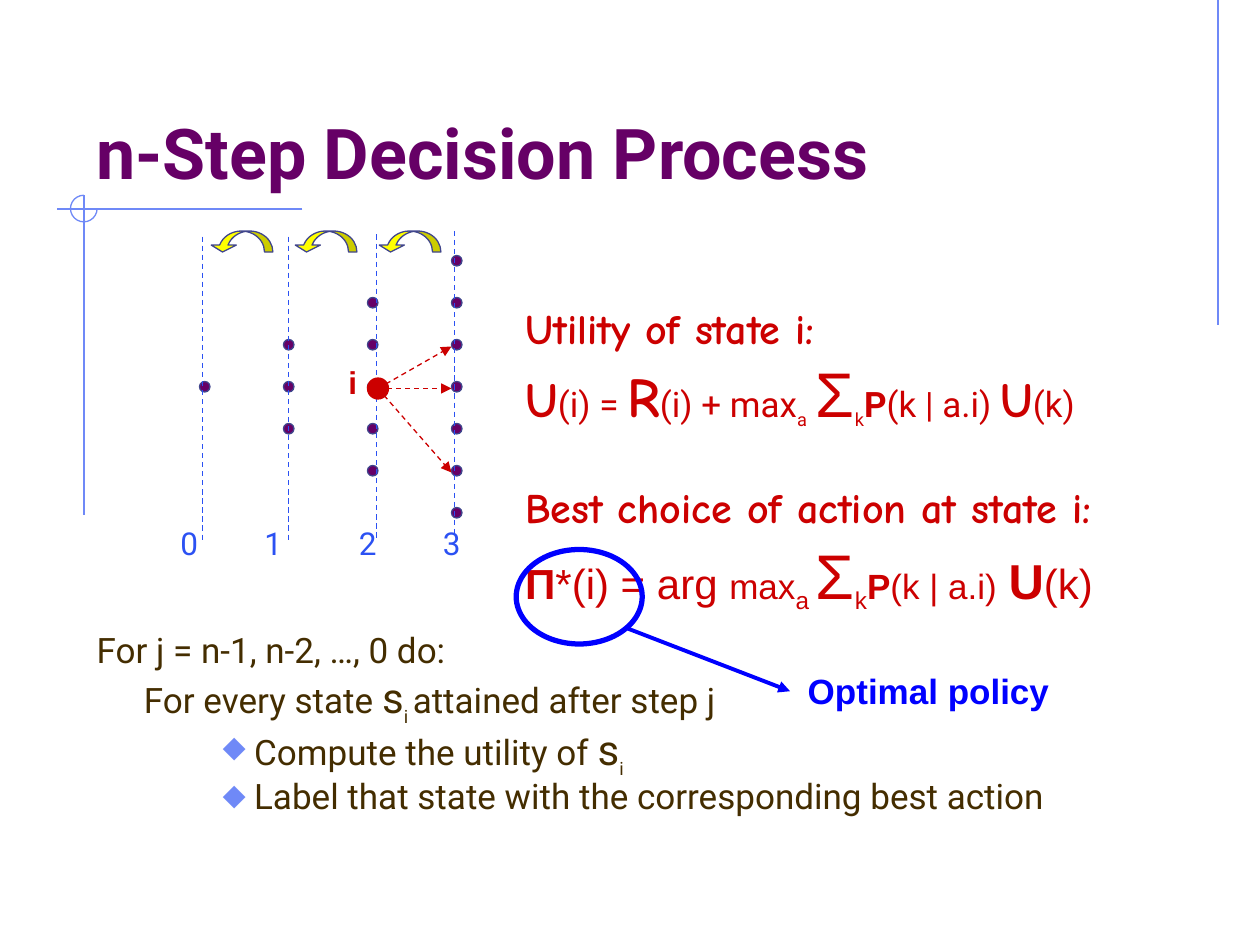
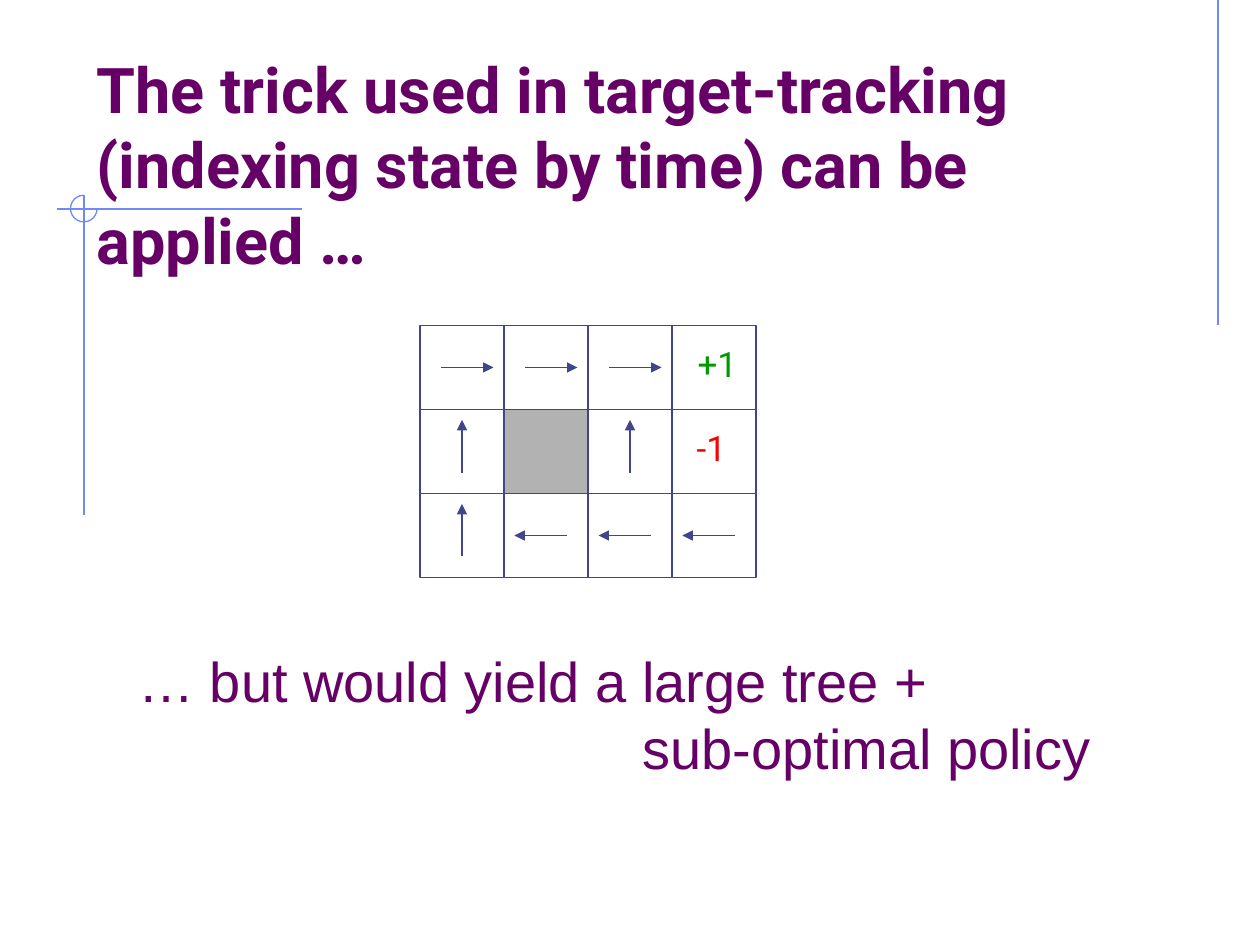
from dataclasses import dataclass

from lxml import etree
from pptx import Presentation
from pptx import util as u
from pptx.dml.color import RGBColor
from pptx.enum import dml, shapes, text
from pptx.oxml.ns import qn

Pt = u.Pt


@dataclass(frozen=True)
class Theme:
    purple: str = "660066"
    brown: str = "442D00"
    red: str = "CC0000"
    blue: str = "2B51F3"
    pure_blue: str = "0000FF"
    periwinkle: str = "6F89F7"
    navy: str = "40458C"
    yellow: str = "FFFF00"
    grey: str = "B2B2B2"
    gain: str = "009900"
    loss: str = "FF0000"
    sans: str = "Roboto"
    plain: str = "Arial"
    comic: str = "Comic Neue"
    title: int = 40
    long_title: int = 36
    conclusion: int = 32
    body: int = 20
    state: int = 24
    label: int = 18


theme = Theme()


def outline(shape, color, width=0.75, fill=None, dashed=False, arrow=False):
    if fill:
        shape.fill.solid()
        shape.fill.fore_color.rgb = RGBColor.from_string(fill)
    elif hasattr(shape, "fill"):
        shape.fill.background()
    shape.line.color.rgb = RGBColor.from_string(color)
    shape.line.width = Pt(width)
    if dashed:
        shape.line.dash_style = dml.MSO_LINE.DASH
    properties = shape.element.spPr
    if arrow:
        etree.SubElement(properties.find(qn("a:ln")), qn("a:tailEnd"), type="triangle")
    etree.SubElement(properties, qn("a:effectLst"))
    return shape


def set_font(font, size, name, color, bold=False):
    font.size = Pt(size)
    font.name = name
    font.bold = bold
    font.color.rgb = RGBColor.from_string(color)


presentation = Presentation()
presentation.slide_width = Pt(720)
presentation.slide_height = Pt(540)
layouts = presentation.slide_layouts
process = presentation.slides.add_slide(layouts[1])
tracking = presentation.slides.add_slide(layouts[5])
straight = shapes.MSO_CONNECTOR.STRAIGHT
preset = shapes.MSO_SHAPE

# Shared frame
frame = [
    process.shapes.add_connector(straight, *map(Pt, ends))
    for ends in [(696, 0, 696, 186), (172.8, 119.5, 32.4, 119.5), (48, 111.6, 48, 294.5)]
]
arc = process.shapes.add_shape(preset.ARC, Pt(40.3), Pt(111.6), Pt(15.2), Pt(15.2))
arc.adjustments[0] = 0
arc.adjustments[1] = 162
for part in frame + [arc]:
    outline(part, theme.periwinkle)
    presentation.slide_master.shapes.element.append(part.element)

# Titles
for slide, top, size, words in [
    (process, 24, theme.title, "n-Step Decision Process"),
    (tracking, 72, theme.long_title,
     "The trick used in target-tracking (indexing state by time) can be applied …"),
]:
    title = slide.shapes.title
    title.left, title.top, title.width, title.height = Pt(48), Pt(top), Pt(612), Pt(90)
    title.text_frame.text = words
    title.text_frame.auto_size = text.MSO_AUTO_SIZE.NONE
    title.text_frame.vertical_anchor = text.MSO_ANCHOR.BOTTOM
    paragraph = title.text_frame.paragraphs[0]
    paragraph.alignment = text.PP_ALIGN.LEFT
    set_font(paragraph.font, size, theme.sans, theme.purple, True)

# Algorithm and formulas
body = process.placeholders[1]
body.left, body.top, body.width, body.height = Pt(48), Pt(360), Pt(578), Pt(140)
formulas = process.shapes.add_textbox(Pt(293), Pt(172.8), Pt(381), Pt(211))
sans, plain, comic = theme.sans, theme.plain, theme.comic
algorithm_lines = [
    (0, 5, [("For j = n-1, n-2, …, 0 do:", theme.body, sans, False, 0)]),
    (27, 5, [("For every state ", theme.body, sans, False, 0),
             ("s", theme.state, sans, False, 0),
             ("i ", theme.label, sans, False, -30),
             ("attained after step j", theme.body, sans, False, 0)]),
    (90, 4.5, [("Compute the utility of ", theme.body, sans, False, 0),
               ("s", theme.state, sans, False, 0),
               ("i", theme.label, sans, False, -30)]),
    (90, 4.5, [("Label that state with the corresponding best action",
                theme.body, sans, False, 0)]),
]
formula_lines = [
    (0, 6, [("Utility of state i:", 24, comic, True, 0)]),
    (0, 5, [("U", 28, comic, True, 0), ("(i) = ", 20, sans, False, 0),
            ("R", 32, comic, True, 0), ("(i) + max", 20, sans, False, 0),
            ("a", 18, sans, False, -30), (" ", 20, sans, False, 0),
            ("Σ", 36, plain, False, 0), ("k", 18, sans, False, -30),
            ("P", 20, sans, True, 0), ("(k | a.i) ", 20, sans, False, 0),
            ("U", 28, comic, True, 0), ("(k)", 20, sans, False, 0)]),
    (0, 32, [("Best choice of action at state i:", 24, comic, True, 0)]),
    (0, 6, [("Π", 24, plain, True, 0), ("*(i) = arg ", 24, plain, False, 0),
            ("max", 20, plain, False, 0), ("a ", 24, plain, False, -25),
            ("Σ", 36, plain, False, 0), ("k", 24, plain, False, -25),
            ("P", 20, plain, True, 0), ("(k | a.i)", 20, plain, False, 0),
            (" ", 24, plain, False, 0), ("U", 28, plain, True, 0),
            ("(k)", 24, plain, False, 0)]),
]
for holder, color, spacing, wrap, lines in [
    (body, theme.brown, 0.8, True, algorithm_lines),
    (formulas, theme.red, 0.9, False, formula_lines),
]:
    frame = holder.text_frame
    frame.word_wrap = wrap
    frame.auto_size = text.MSO_AUTO_SIZE.NONE
    for number, (margin, before, runs) in enumerate(lines):
        paragraph = frame.add_paragraph() if number else frame.paragraphs[0]
        paragraph.line_spacing = spacing
        paragraph.space_before = Pt(before)
        bulleted = margin == 90
        paragraph.level = 2 if bulleted else 0
        properties = paragraph._p.get_or_add_pPr()
        properties.set("marL", str(Pt(margin)))
        properties.set("indent", str(Pt(-18 if bulleted else 0)))
        if bulleted:
            bullet_color = etree.SubElement(properties, qn("a:buClr"))
            etree.SubElement(bullet_color, qn("a:srgbClr"), val=theme.periwinkle)
            etree.SubElement(properties, qn("a:buSzPct"), val="95000")
            etree.SubElement(properties, qn("a:buFont"), typeface=plain)
            etree.SubElement(properties, qn("a:buChar"), char="⬥")
        else:
            etree.SubElement(properties, qn("a:buNone"))
        for words, size, name, bold, baseline in runs:
            run = paragraph.add_run()
            run.text = words
            set_font(run.font, size, name, color, bold)
            if baseline:
                run._r.get_or_add_rPr().set("baseline", str(baseline * 1000))

# State diagram
for step in range(4):
    reach = step
    for row in range(-reach, reach + 1):
        dot = process.shapes.add_shape(
            preset.OVAL, Pt(114 + 48 * step), Pt(218 + 24 * row), Pt(6), Pt(6))
        outline(dot, theme.navy, fill=theme.purple)
for x, top in [(115.9, 135.2), (164.9, 135.2), (215.2, 134), (259.9, 132)]:
    line = process.shapes.add_connector(straight, Pt(x), Pt(top), Pt(x), Pt(top + 174))
    outline(line, theme.blue, dashed=True)
for step in range(3):
    back = process.shapes.add_shape(
        preset.CURVED_DOWN_ARROW, Pt(120 + 48 * step), Pt(132), Pt(36), Pt(12))
    for index, value in enumerate([0.4, 1.2, 0.33]):
        back.adjustments[index] = value
    back.element.spPr.xfrm.set("flipH", "1")
    outline(back, theme.navy, fill=theme.yellow)
state = process.shapes.add_shape(preset.OVAL, Pt(210), Pt(216), Pt(12), Pt(12))
outline(state, theme.red, fill=theme.red)
for y in [198, 222, 270]:
    choice = process.shapes.add_connector(straight, Pt(216), Pt(222), Pt(258), Pt(y))
    outline(choice, theme.red, dashed=True, arrow=True)
policy_ring = process.shapes.add_shape(preset.OVAL, Pt(295), Pt(314), Pt(72), Pt(54))
outline(policy_ring, theme.pure_blue, 3)
pointer = process.shapes.add_connector(straight, Pt(357), Pt(358.5), Pt(451.5), Pt(395))
outline(pointer, theme.pure_blue, 2.25, arrow=True)

# Policy grid
left, top, cell = 240, 186, 48
right, bottom = left + 4 * cell, top + 3 * cell
border = tracking.shapes.add_shape(
    preset.RECTANGLE, Pt(left), Pt(top), Pt(4 * cell), Pt(3 * cell))
outline(border, theme.navy)
rules = [(left + cell * n, top, left + cell * n, bottom) for n in (1, 2, 3)]
rules += [(left, top + cell * n, right, top + cell * n) for n in (1, 2)]
for ends in rules:
    outline(tracking.shapes.add_connector(straight, *map(Pt, ends)), theme.navy)
obstacle = tracking.shapes.add_shape(
    preset.RECTANGLE, Pt(left + cell), Pt(top + cell), Pt(cell), Pt(cell))
outline(obstacle, theme.navy, fill=theme.grey)
moves = {"→": (12, 24, 42, 24), "←": (36, 24, 6, 24), "↑": (24, 36, 24, 6)}
for row, actions in enumerate(["→→→ ", "↑ ↑ ", "↑←←←"]):
    for column, action in enumerate(actions):
        if action in moves:
            x, y = left + cell * column, top + cell * row
            x1, y1, x2, y2 = moves[action]
            move = tracking.shapes.add_connector(
                straight, Pt(x + x1), Pt(y + y1), Pt(x + x2), Pt(y + y2))
            outline(move, theme.navy, arrow=True)

# Labels
labels = [
    (process, (x, 296, 24.5, 29), str(step), theme.label, sans, theme.blue, False)
    for step, x in enumerate([96, 144, 198, 246])
]
labels += [
    (process, (192, 204, 19.5, 29), "i", theme.label, plain, theme.red, True),
    (process, (454.5, 379, 152.5, 31.5), "Optimal policy", theme.body, plain,
     theme.pure_blue, True),
    (tracking, (391.5, 192, 37.5, 31.5), "+1", theme.body, sans, theme.gain, False),
    (tracking, (391, 240, 32.5, 31.5), "-1", theme.body, sans, theme.loss, False),
    (tracking, (72, 366, 559, 84), "… but would yield a large tree +\nsub-optimal policy",
     theme.conclusion, plain, theme.purple, False),
]
for slide, place, words, size, name, color, bold in labels:
    box = slide.shapes.add_textbox(*map(Pt, place))
    box.text_frame.word_wrap = False
    box.text_frame.text = words
    for number, paragraph in enumerate(box.text_frame.paragraphs):
        paragraph._p.get_or_add_pPr().set("marL", str(Pt(288 * number)))
        set_font(paragraph.font, size, name, color, bold)

presentation.save("out.pptx")
